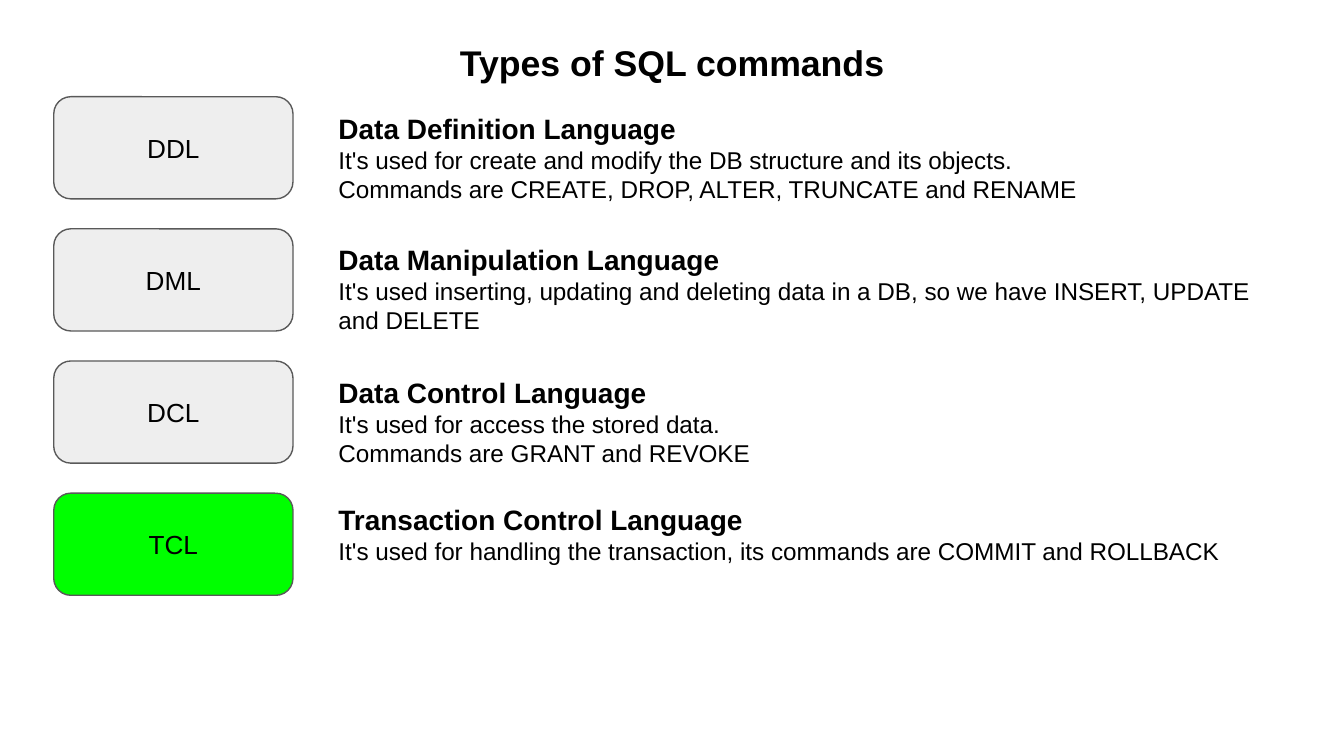
from pptx import Presentation
from pptx.dml.color import RGBColor
from pptx.enum.shapes import MSO_SHAPE as SHAPE
from pptx.enum.text import MSO_ANCHOR as ANCHOR, MSO_AUTO_SIZE as AUTO, PP_ALIGN as ALIGN
from pptx.util import Inches, Pt

WIDTH = 10
HEIGHT = WIDTH * 9 / 16
LEFT, TOP, ROW_H = 0.4, 0.72, 0.76
PITCH = 2.95 / 3
LABEL_W, TEXT_X, TEXT_W = 1.78, 2.02, 7.24
GREY, GREEN, EDGE, BLACK = "EEEEEE", "00FF00", "595959", "000000"

COMMANDS = [
    ("DDL", GREY, 0.01, "Data Definition Language",
     ["It's used for create and modify the DB structure and its objects.",
      "Commands are CREATE, DROP, ALTER, TRUNCATE and RENAME"]),
    ("DML", GREY, 0, "Data Manipulation Language",
     ["It's used inserting, updating and deleting data in a DB, so we have "
      "INSERT, UPDATE and DELETE"]),
    ("DCL", GREY, 0.01, "Data Control Language",
     ["It's used for access the stored data.",
      "Commands are GRANT and REVOKE"]),
    ("TCL", GREEN, -0.03, "Transaction Control Language",
     ["It's used for handling the transaction, its commands are COMMIT and ROLLBACK"]),
]


def rgb(code):
    """Turn a hex string into a colour."""
    return RGBColor.from_string(code)


def inches(*values):
    """Turn a box in inches into lengths."""
    return [Inches(v) for v in values]


def write(sp, lines, anchor, align, spacing=1.0):
    """Fill a shape with one paragraph for each (text, size, bold) line."""
    tf = sp.text_frame
    frame = {"word_wrap": True, "auto_size": AUTO.NONE, "vertical_anchor": anchor}
    frame.update({f"margin_{side}": Inches(0.1) for side in ("left", "top", "right", "bottom")})
    for name, value in frame.items():
        setattr(tf, name, value)
    for i, (text, size, bold) in enumerate(lines):
        p = tf.add_paragraph() if i else tf.paragraphs[0]
        p.alignment, p.line_spacing = align, spacing
        p.space_before = p.space_after = Pt(0)
        r = p.add_run()
        r.text = text
        for name, value in {"name": "Arial", "size": Pt(size), "bold": bold}.items():
            setattr(r.font, name, value)
        r.font.color.rgb = rgb(BLACK)


def add_title(slide, text, x, y, w, h):
    """Place the slide title in the given box."""
    sp = slide.shapes.title
    sp.left, sp.top, sp.width, sp.height = inches(x, y, w, h)
    write(sp, [(text, 19.1, True)], ANCHOR.BOTTOM, ALIGN.CENTER, 0.8)


def add_command(slide, command, x, y, h):
    """Place a command label and its description in one row."""
    label, fill, shift, name, details = command
    sp = slide.shapes.add_shape(SHAPE.ROUNDED_RECTANGLE, *inches(x, y, LABEL_W, h))
    sp.shadow.inherit = False
    sp.fill.solid()
    sp.fill.fore_color.rgb = rgb(fill)
    sp.line.color.rgb = rgb(EDGE)
    sp.line.width = Pt(0.75)
    write(sp, [(label, 14, False)], ANCHOR.MIDDLE, ALIGN.CENTER)
    box = slide.shapes.add_textbox(*inches(x + TEXT_X, y + shift, TEXT_W, h))
    lines = [(name, 15, True)] + [(detail, 13, False) for detail in details]
    write(box, lines, ANCHOR.TOP, ALIGN.LEFT)


def main():
    """Build and save the slide."""
    prs = Presentation()
    prs.slide_width, prs.slide_height = inches(WIDTH, HEIGHT)
    slide = prs.slides.add_slide(prs.slide_layouts[5])
    add_title(slide, "Types of SQL commands", 0.34, 0.25, 9.32, 0.47)
    for i, command in enumerate(COMMANDS):
        add_command(slide, command, LEFT, TOP + i * PITCH, ROW_H)
    prs.save("out.pptx")


if __name__ == "__main__":
    main()
